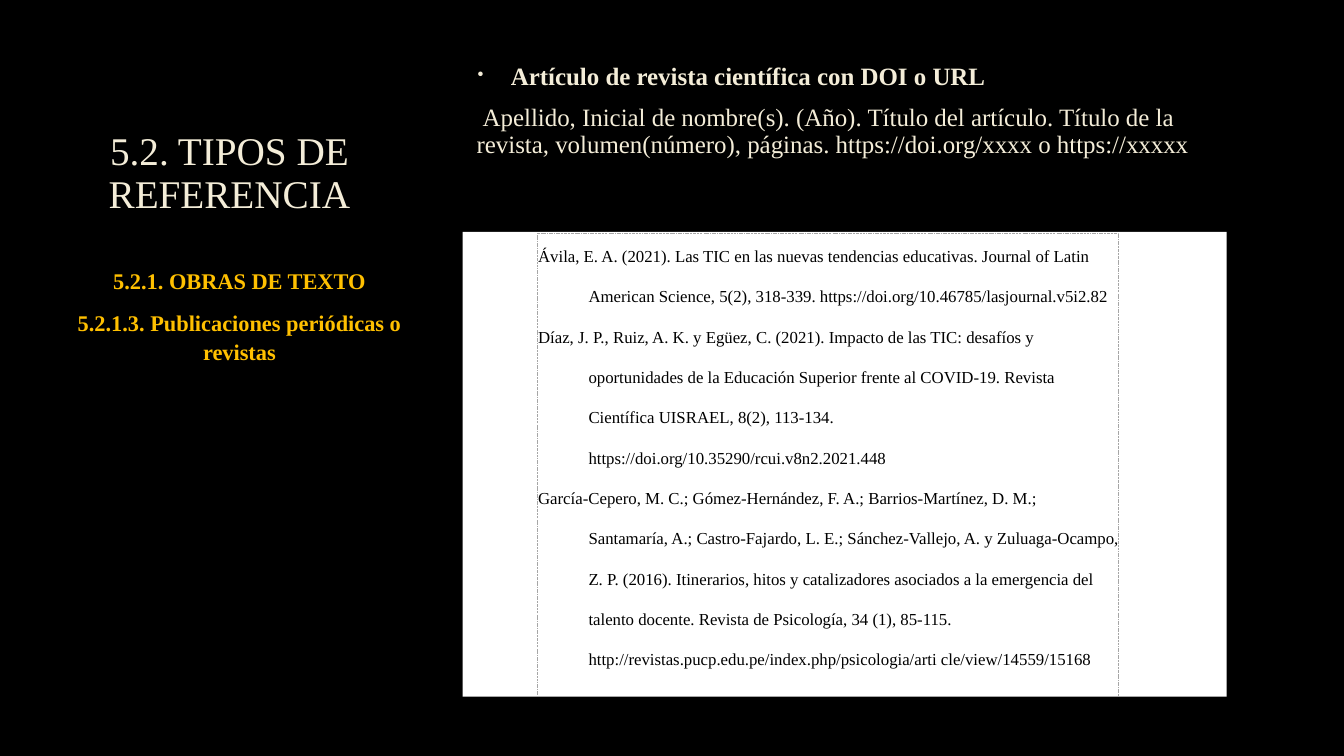
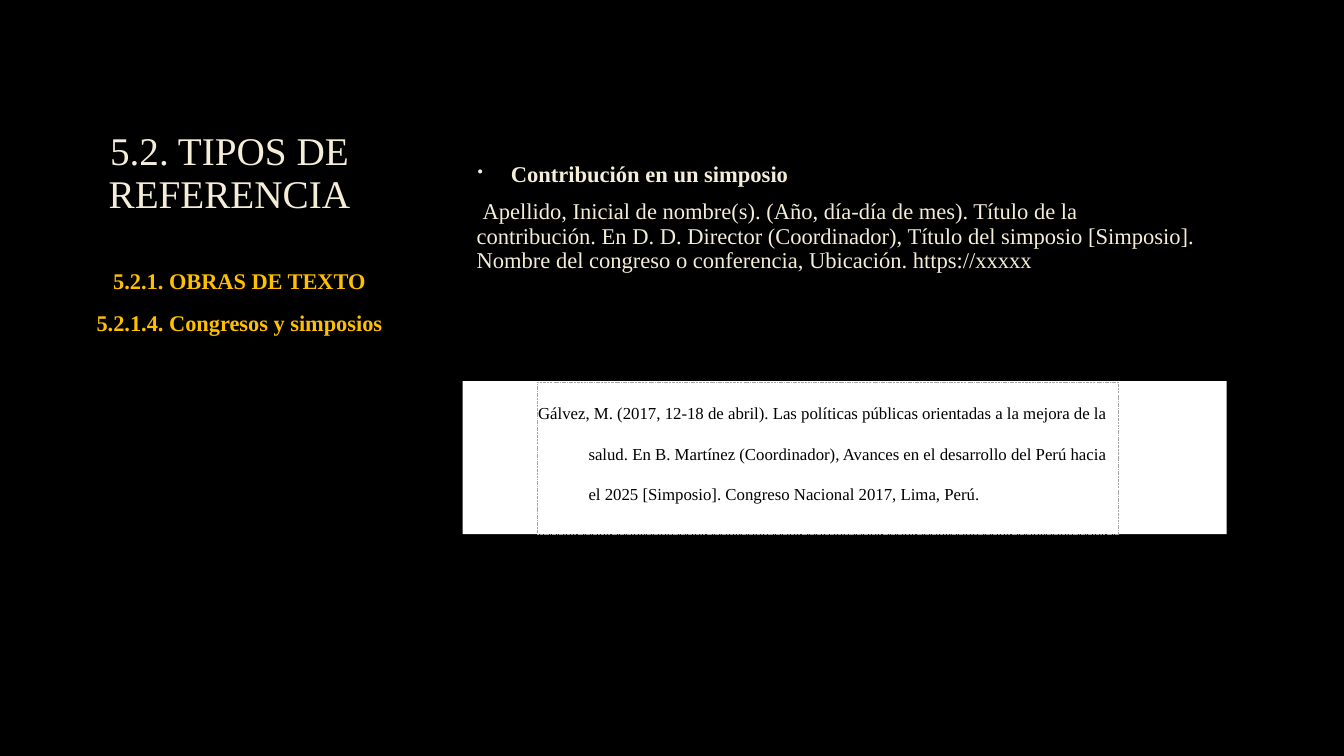
from dataclasses import dataclass

from lxml.etree import SubElement
from pptx import Presentation
from pptx.dml.color import RGBColor
from pptx.enum.dml import MSO_LINE
from pptx.enum.shapes import MSO_SHAPE as Preset
from pptx.enum.text import MSO_ANCHOR as Anchor, PP_ALIGN as Align
from pptx.oxml.ns import qn
from pptx.slide import Slide
from pptx.util import Emu, Inches, Pt

WIDTH, HEIGHT = Inches(13.33), Inches(7.5)
FONT = "Times New Roman"
COLOURS = {
    "background": "000000",
    "cream": "F4EDD8",
    "gold": "FFC000",
    "paper": "FFFFFF",
    "ink": "000000",
    "frame": "A6A6A6",
}


@dataclass(frozen=True)
class Area:
    """A rectangle in percent of the slide's width and height."""
    left: float
    top: float
    width: float
    height: float

    def lengths(self) -> tuple[Emu, Emu, Emu, Emu]:
        return (Emu(int(WIDTH * self.left / 100)), Emu(int(HEIGHT * self.top / 100)),
                Emu(int(WIDTH * self.width / 100)), Emu(int(HEIGHT * self.height / 100)))


@dataclass(frozen=True)
class TextStyle:
    size: float
    colour: str
    bold: bool = False
    align: Align = Align.LEFT
    line_spacing: float = 0.9
    before: float = 0
    after: float = 0
    margin: float = 0
    indent: float = 0
    bullet: str = ""


@dataclass(frozen=True)
class ReferenceType:
    topic: str
    heading: str
    pattern: str
    pattern_size: float
    pattern_top: float
    panel_top: float
    panel_height: float
    text_top: float
    examples: tuple[str, ...]


TITLE = "5.2. TIPOS DE REFERENCIA"
SECTION = "5.2.1. OBRAS DE TEXTO"
TITLE_AREA = Area(1.88, 12.53, 30.38, 16.8)
TOPIC_AREA = Area(2.63, 34.27, 30.38, 44)
TITLE_STYLE = TextStyle(28, "cream", align=Align.CENTER)
TOPIC_STYLE = TextStyle(16, "gold", True, Align.CENTER, 1.1, before=3.2, after=6)
EXAMPLE_STYLE = TextStyle(12, "ink", line_spacing=2, margin=0.5, indent=-0.5)

REFERENCE_TYPES = (
    ReferenceType(
        "5.2.1.3. Publicaciones periódicas o revistas",
        "Artículo de revista científica con DOI o URL",
        "Apellido, Inicial de nombre(s). (Año). Título del artículo. Título de la revista, "
        "volumen(número), páginas. https://doi.org/xxxx o https://xxxxx",
        17.8, 7.87, 30.67, 61.47, 29.2,
        (
            "Ávila, E. A. (2021). Las TIC en las nuevas tendencias educativas. Journal of Latin "
            "American Science, 5(2), 318-339. https://doi.org/10.46785/lasjournal.v5i2.82",
            "Díaz, J. P., Ruiz, A. K. y Egüez, C. (2021). Impacto de las TIC: desafíos y "
            "oportunidades de la Educación Superior frente al COVID-19. Revista Científica "
            "UISRAEL, 8(2), 113-134. https://doi.org/10.35290/rcui.v8n2.2021.448",
            "García-Cepero, M. C.; Gómez-Hernández, F. A.; Barrios-Martínez, D. M.; Santamaría, "
            "A.; Castro-Fajardo, L. E.; Sánchez-Vallejo, A. y Zuluaga-Ocampo, Z. P. (2016). "
            "Itinerarios, hitos y catalizadores asociados a la emergencia del talento docente. "
            "Revista de Psicología, 34 (1), 85-115. "
            "http://revistas.pucp.edu.pe/index.php/psicologia/arti cle/view/14559/15168",
        ),
    ),
    ReferenceType(
        "5.2.1.4. Congresos y simposios",
        "Contribución en un simposio",
        "Apellido, Inicial de nombre(s). (Año, día-día de mes). Título de la contribución. "
        "En D. D. Director (Coordinador), Título del simposio [Simposio]. Nombre del congreso "
        "o conferencia, Ubicación. https://xxxxx",
        16.1, 20.93, 50.4, 20.27, 50,
        (
            "Gálvez, M. (2017, 12-18 de abril). Las políticas públicas orientadas a la mejora de "
            "la salud. En B. Martínez (Coordinador), Avances en el desarrollo del Perú hacia el "
            "2025 [Simposio]. Congreso Nacional 2017, Lima, Perú.",
        ),
    ),
)


def colour(name: str) -> RGBColor:
    return RGBColor.from_string(COLOURS[name])


def add_text(slide: Slide, area: Area, lines: list[tuple[str, TextStyle]],
             anchor: Anchor = Anchor.TOP) -> None:
    """Add a wrapping text box with one styled paragraph per line."""
    frame = slide.shapes.add_textbox(*area.lengths()).text_frame
    frame.word_wrap = True
    frame.vertical_anchor = anchor
    for index, (text, style) in enumerate(lines):
        para = frame.paragraphs[0] if index == 0 else frame.add_paragraph()
        properties = para._p.get_or_add_pPr()
        properties.set("marL", str(Inches(style.margin)))
        properties.set("indent", str(Inches(style.indent)))
        if style.bullet:
            bullet_colour = SubElement(properties, qn("a:buClr"))
            SubElement(bullet_colour, qn("a:srgbClr"), val=COLOURS[style.colour])
            SubElement(properties, qn("a:buSzPct"), val="70000")
            SubElement(properties, qn("a:buChar"), char=style.bullet)
        para.alignment = style.align
        para.line_spacing = style.line_spacing
        para.space_before = Pt(style.before if index else 0)
        para.space_after = Pt(style.after)
        span = para.add_run()
        span.text = text
        span.font.name = FONT
        span.font.size = Pt(style.size)
        span.font.bold = style.bold
        span.font.color.rgb = colour(style.colour)


def add_panel(slide: Slide, kind: ReferenceType) -> None:
    """Draw the white sheet, its examples and the dashed frame around them."""
    sheet = slide.shapes.add_shape(
        Preset.RECTANGLE, *Area(34.43, kind.panel_top, 56.85, kind.panel_height).lengths())
    sheet.shadow.inherit = False
    sheet.fill.solid()
    sheet.fill.fore_color.rgb = colour("paper")
    sheet.line.fill.background()

    add_text(slide, Area(39.3, kind.text_top, 44.85, kind.panel_height),
             [(example, EXAMPLE_STYLE) for example in kind.examples])

    frame = slide.shapes.add_shape(
        Preset.RECTANGLE, *Area(39.98, kind.panel_top + 0.13, 43.2, kind.panel_height - 0.13).lengths())
    frame.shadow.inherit = False
    frame.fill.background()
    frame.line.color.rgb = colour("frame")
    frame.line.width = Pt(0.25)
    frame.line.dash_style = MSO_LINE.DASH_DOT_DOT


def add_reference_slide(deck: Presentation, kind: ReferenceType) -> None:
    slide = deck.slides.add_slide(deck.slide_layouts[6])
    slide.background.fill.solid()
    slide.background.fill.fore_color.rgb = colour("background")

    size = kind.pattern_size
    spacing = {"before": 0.2 * size, "after": 6}
    heading = TextStyle(size, "cream", True, margin=0.38, indent=-0.33, bullet="•", **spacing)
    pattern = TextStyle(size, "cream", margin=0.04, indent=0.06, **spacing)

    add_text(slide, TITLE_AREA, [(TITLE, TITLE_STYLE)], Anchor.BOTTOM)
    add_text(slide, Area(34.43, kind.pattern_top, 55.58, 16.8),
             [(kind.heading, heading), (kind.pattern, pattern)])
    add_text(slide, TOPIC_AREA, [(SECTION, TOPIC_STYLE), (kind.topic, TOPIC_STYLE)])
    add_panel(slide, kind)


def main() -> None:
    deck = Presentation()
    deck.slide_width, deck.slide_height = WIDTH, HEIGHT
    for kind in REFERENCE_TYPES:
        add_reference_slide(deck, kind)
    deck.save("out.pptx")


if __name__ == "__main__":
    main()
